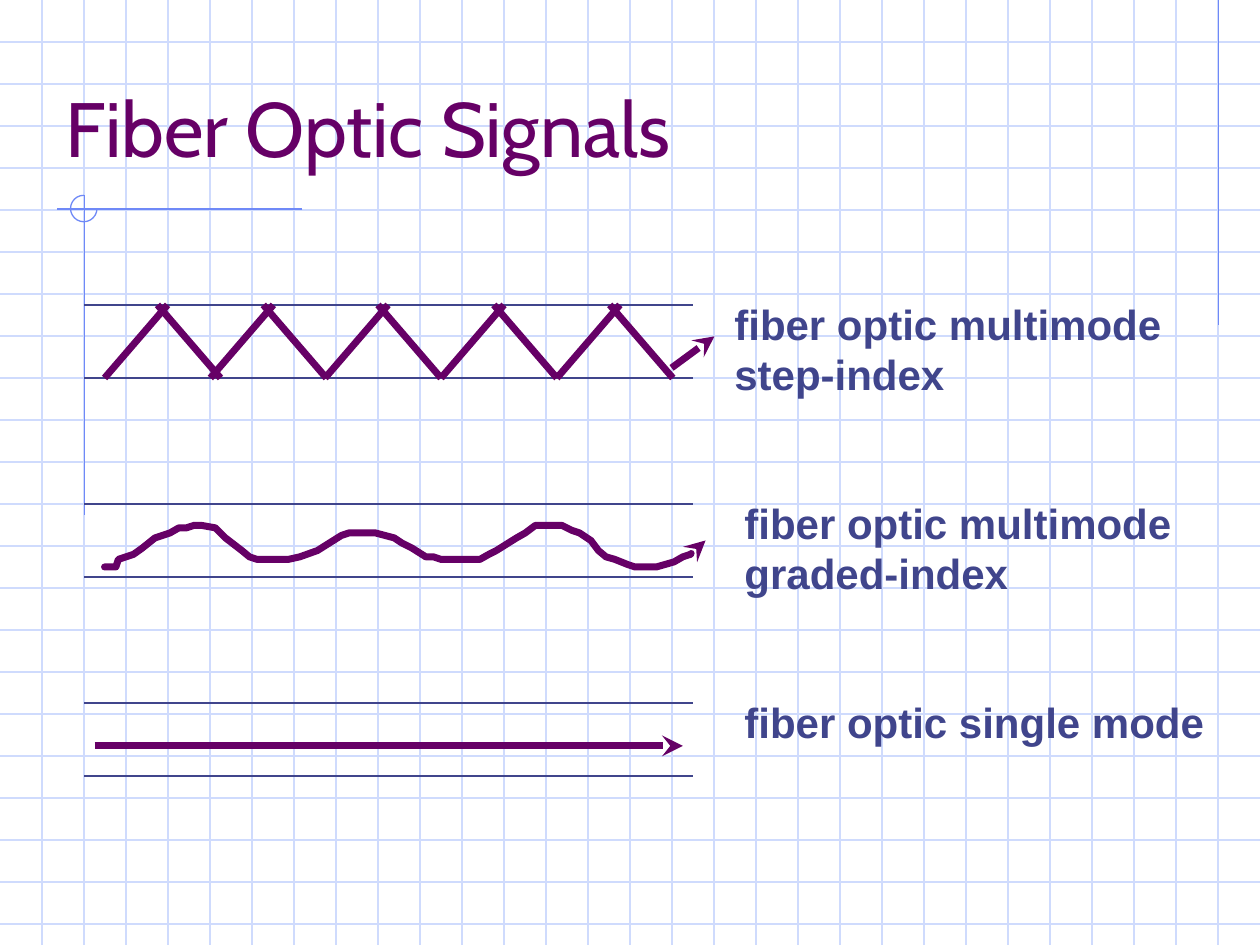
from lxml import etree
from pptx import Presentation
from pptx.dml.color import RGBColor
from pptx.enum.shapes import MSO_CONNECTOR, MSO_SHAPE
from pptx.enum.text import MSO_ANCHOR, MSO_AUTO_SIZE
from pptx.oxml.ns import qn
from pptx.util import Inches, Pt

GRID_BLUE = RGBColor(0xCF, 0xDB, 0xFD)
ACCENT_BLUE = RGBColor(0x6F, 0x89, 0xF7)
NAVY = RGBColor(0x40, 0x45, 0x8C)
PURPLE = RGBColor(0x66, 0x00, 0x66)

WIDTH, HEIGHT = 10, 7.5
FIBER_LEFT, FIBER_RIGHT, FIBER_HEIGHT = 0.67, 5.5, 0.58
FIBER_TOPS = (2.42, 4, 5.58)
BOUNCE_STARTS = (0.83, 1.67, 2.58, 3.5, 4.42)
SIGNAL_WEIGHT = 4

LABELS = (
    (5.73, 2.32, 3.59, 0.9, ("fiber optic multimode", "step-index")),
    (5.81, 3.9, 3.59, 0.9, ("fiber optic multimode", "graded-index")),
    (5.81, 5.48, 3.85, 0.5, ("fiber optic single mode",)),
)

WAVE = (
    (0.83, 4.5), (0.92, 4.5), (0.94, 4.44), (1.06, 4.4), (1.13, 4.35),
    (1.23, 4.27), (1.35, 4.23), (1.42, 4.19), (1.48, 4.19), (1.54, 4.17),
    (1.6, 4.17), (1.71, 4.19), (1.79, 4.27), (1.92, 4.37), (1.98, 4.42),
    (2.04, 4.44), (2.29, 4.44), (2.38, 4.42), (2.52, 4.37), (2.71, 4.25),
    (2.77, 4.23), (2.98, 4.23), (3.13, 4.27), (3.19, 4.31), (3.27, 4.35),
    (3.38, 4.42), (3.44, 4.42), (3.5, 4.44), (3.81, 4.44), (3.88, 4.4),
    (3.94, 4.37), (4.1, 4.27), (4.17, 4.23), (4.25, 4.17), (4.46, 4.17),
    (4.54, 4.21), (4.6, 4.23), (4.69, 4.29), (4.75, 4.37), (4.81, 4.42),
    (4.88, 4.44), (4.98, 4.48), (5.04, 4.5), (5.21, 4.5), (5.35, 4.46),
    (5.42, 4.42), (5.48, 4.4), (5.54, 4.33), (5.6, 4.29),
)


def style_line(shape, color, weight):
    shape.line.color.rgb = color
    shape.line.width = Pt(weight)


def add_arrowhead(shape):
    line = shape.line._get_or_add_ln()
    etree.SubElement(line, qn("a:tailEnd"), type="stealth")


def add_line(slide, start, end, color, weight=0.75, arrow=False):
    points = [Inches(value) for value in (*start, *end)]
    line = slide.shapes.add_connector(MSO_CONNECTOR.STRAIGHT, *points)
    style_line(line, color, weight)
    etree.SubElement(line._element.spPr, qn("a:effectLst"))
    if arrow:
        add_arrowhead(line)


def add_wave(slide, points):
    scaled = [(Inches(x), Inches(y)) for x, y in points]
    builder = slide.shapes.build_freeform(*scaled[0])
    builder.add_line_segments(scaled[1:], close=False)
    wave = builder.convert_to_shape()
    wave.shadow.inherit = False
    wave.fill.background()
    style_line(wave, PURPLE, SIGNAL_WEIGHT)
    # Round caps and joins keep the curve smooth
    line = wave.line._get_or_add_ln()
    line.set("cap", "rnd")
    etree.SubElement(line, qn("a:round"))
    add_arrowhead(wave)


def add_text(slide, box, lines, font_name, size, color, bold=False,
             line_spacing=None):
    text_box = slide.shapes.add_textbox(*(Inches(value) for value in box))
    frame = text_box.text_frame
    for index, text in enumerate(lines):
        paragraph = frame.paragraphs[0] if index == 0 else frame.add_paragraph()
        paragraph.line_spacing = line_spacing
        run = paragraph.add_run()
        run.text = text
        run.font.name = font_name
        run.font.size = Pt(size)
        run.font.bold = bold
        run.font.color.rgb = color
    return frame


def add_background(slide):
    # Graph paper, three squares to the inch
    for step in range(1, 23):
        y = step / 3
        add_line(slide, (0, y), (WIDTH, y), GRID_BLUE)
    for step in range(1, 30):
        x = step / 3
        add_line(slide, (x, 0), (x, HEIGHT), GRID_BLUE)

    # Accent lines and three-quarter circle
    add_line(slide, (9.67, 0), (9.67, 2.58), ACCENT_BLUE)
    add_line(slide, (2.4, 1.66), (0.45, 1.66), ACCENT_BLUE)
    add_line(slide, (0.67, 1.55), (0.67, 4.09), ACCENT_BLUE)
    arc = slide.shapes.add_shape(MSO_SHAPE.ARC, Inches(0.56), Inches(1.55),
                                 Inches(0.21), Inches(0.21))
    arc.adjustments[0] = 0
    arc.adjustments[1] = 162  # 270 degrees
    arc.shadow.inherit = False
    arc.fill.background()
    style_line(arc, ACCENT_BLUE, 0.75)


def add_signals(slide):
    # Fiber walls
    for top in FIBER_TOPS:
        for y in (top, top + FIBER_HEIGHT):
            add_line(slide, (FIBER_LEFT, y), (FIBER_RIGHT, y), NAVY, 1)

    # Step-index: rays bouncing between the walls
    top = FIBER_TOPS[0]
    bottom = top + FIBER_HEIGHT
    for x in BOUNCE_STARTS:
        add_line(slide, (x, bottom), (x + 0.5, top), PURPLE, SIGNAL_WEIGHT)
        add_line(slide, (x + 0.92, bottom), (x + 0.42, top), PURPLE,
                 SIGNAL_WEIGHT)
    add_line(slide, (5.33, 2.92), (5.67, 2.67), PURPLE, SIGNAL_WEIGHT, arrow=True)

    # Graded-index and single mode
    add_wave(slide, WAVE)
    add_line(slide, (0.75, 5.92), (5.42, 5.92), PURPLE, SIGNAL_WEIGHT, arrow=True)


def main():
    presentation = Presentation()
    presentation.slide_width = Inches(WIDTH)
    presentation.slide_height = Inches(HEIGHT)
    slide = presentation.slides.add_slide(presentation.slide_layouts[6])

    add_background(slide)
    add_signals(slide)

    # Labels
    for *box, lines in LABELS:
        frame = add_text(slide, box, lines, "Arial", 24, NAVY, bold=True,
                         line_spacing=Pt(28.8))
        frame.word_wrap = False
        frame.auto_size = MSO_AUTO_SIZE.SHAPE_TO_FIT_TEXT

    # Title
    title = add_text(slide, (0.42, 0.25, 9.25, 1.17), ("Fiber Optic Signals",),
                     "Cabin", 44, PURPLE)
    title.word_wrap = True
    title.vertical_anchor = MSO_ANCHOR.BOTTOM

    presentation.save("out.pptx")


if __name__ == "__main__":
    main()
